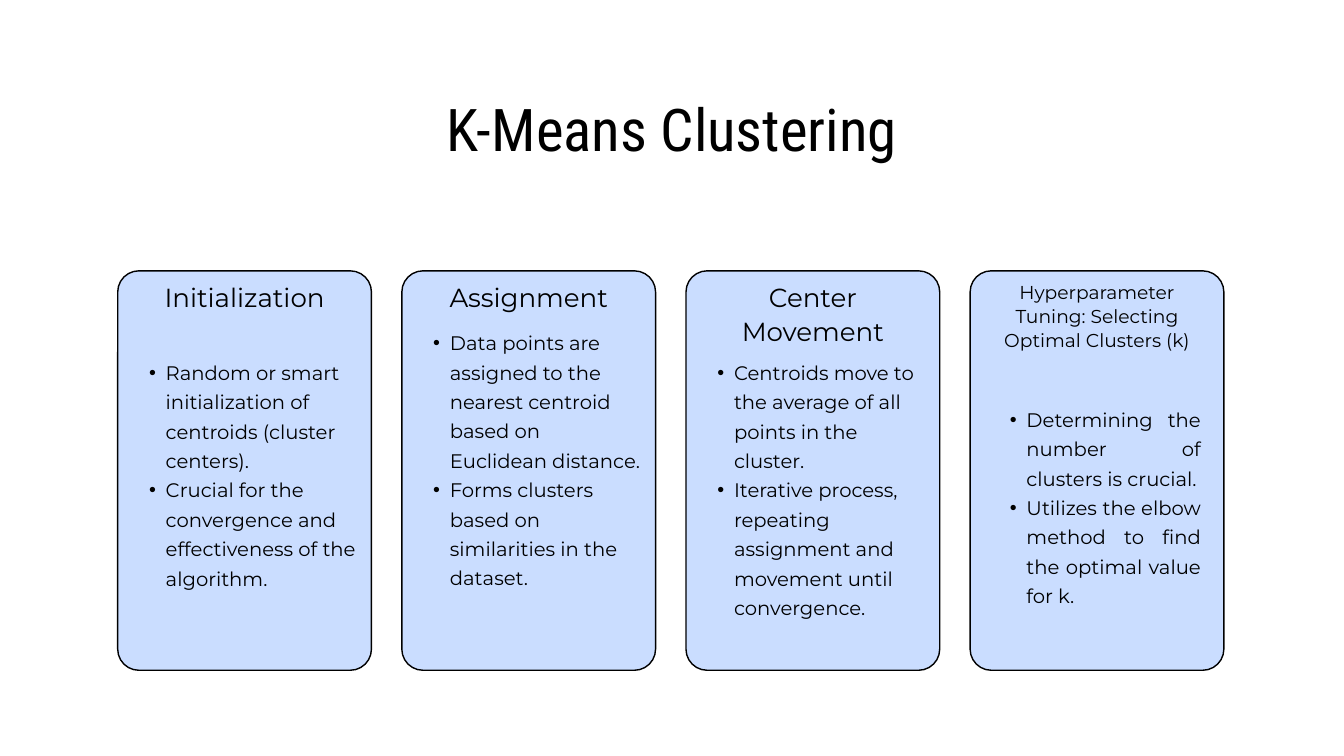
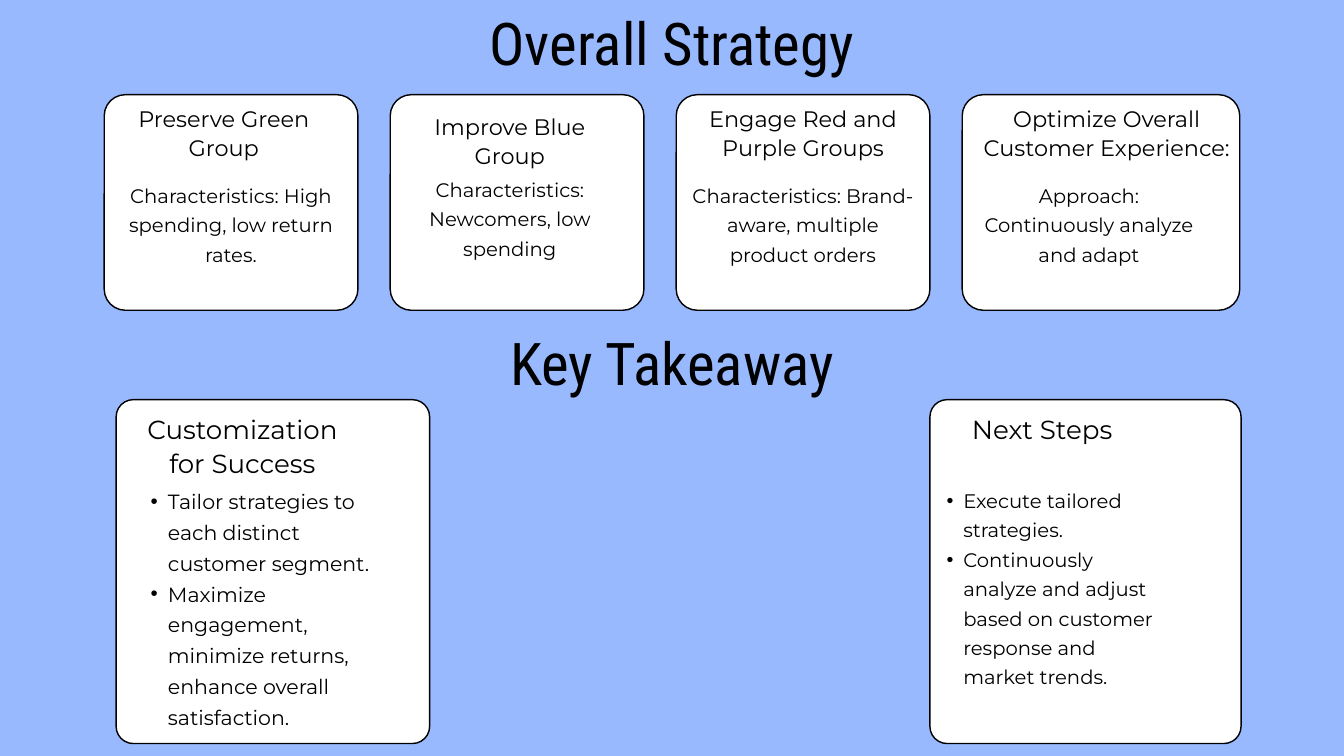
import pptx
import pptx.dml.color
import pptx.enum.shapes
import pptx.enum.text
import pptx.oxml
import pptx.oxml.ns
import pptx.util

Cm = pptx.util.Cm
Pt = pptx.util.Pt
ALIGN = pptx.enum.text.PP_ALIGN

INK, WHITE, PALE, BLUE = "000000", "FFFFFF", "CADDFF", "99B9FF"
HEAD, BODY = "Roboto Condensed", "Montserrat"
TITLE = 12.93, 24.94, 4.65


def color(fill, code):
    """Give a fill a solid colour."""
    fill.solid()
    fill.fore_color.rgb = pptx.dml.color.RGBColor.from_string(code)


def bullet(para, size):
    """Add a hanging bullet whose indent follows the text size."""
    props = para._p.get_or_add_pPr()
    indent = Cm(0.06 * size)
    props.set("marL", str(indent))
    props.set("indent", str(-indent // 2))
    for tag, key, value in (("buFont", "typeface", "Arial"), ("buChar", "char", "•")):
        item = pptx.oxml.parse_xml(f'<a:{tag} {pptx.oxml.ns.nsdecls("a")} {key}="{value}"/>')
        props.append(item)


def write(shape, lines, size, lead, face=BODY, align=ALIGN.CENTER, dots=False):
    """Fill a shape with equally styled paragraphs."""
    frame = shape.text_frame
    frame.word_wrap = True
    frame.auto_size = pptx.enum.text.MSO_AUTO_SIZE.NONE
    frame.vertical_anchor = pptx.enum.text.MSO_ANCHOR.TOP
    frame.margin_left = frame.margin_top = frame.margin_right = frame.margin_bottom = 0
    for i, line in enumerate(lines):
        para = frame.paragraphs[0] if i == 0 else frame.add_paragraph()
        para.text = line
        para.alignment = align
        para.line_spacing = Pt(lead)
        para.space_before = Pt(0)
        if dots:
            bullet(para, size)
        para.font.size = Pt(size)
        para.font.name = face
        para.font.bold = False
        color(para.font.fill, INK)


def text(slide, box, lines, size, ratio, **style):
    """Add a text box whose line pitch is a ratio of its size."""
    shape = slide.shapes.add_textbox(*map(Cm, box))
    write(shape, lines, size, round(size * ratio, 1), **style)


def title(shape, words, top):
    """Place and format a large heading."""
    left, width, height = TITLE
    shape.left, shape.top, shape.width, shape.height = map(Cm, (left, top, width, height))
    write(shape, [words], 63.1, 63.8, HEAD)


def page(deck, words, top, back):
    """Add a slide with a background and a title."""
    slide = deck.slides.add_slide(deck.slide_layouts[5])
    color(slide.background.fill, back)
    title(slide.shapes.title, words, top)
    return slide


def card(slide, box, fill, radius=0.8):
    """Draw an outlined card with round corners."""
    kind = pptx.enum.shapes.MSO_SHAPE.ROUNDED_RECTANGLE
    shape = slide.shapes.add_shape(kind, *map(Cm, box))
    shape.adjustments[0] = radius / min(box[2:])
    shape.shadow.inherit = False
    color(shape.fill, fill)
    color(shape.line.fill, INK)
    shape.line.width = Pt(1.5)


def step(slide, box, head, body, align):
    """Build a step card with its heading and bullets centred in it."""
    left, top, width, _ = box
    card(slide, box, PALE)
    words, size, wide, high = head
    text(slide, (left + (width - wide) / 2, top + 0.3, wide, high), [words], size, 1.3)
    lines, drop, wide, high = body
    spot = left + (width - wide) / 2, top + drop, wide, high
    text(slide, spot, lines, 21, 1.5, align=align, dots=True)


def group(slide, box, head, body):
    """Build a strategy card with a heading and a centred note."""
    left, top = box[:2]
    card(slide, box, WHITE)
    words, shift, drop, wide = head
    text(slide, (left + shift, top + drop, wide, 2.16), [words], 24, 1.3)
    words, shift, drop = body
    text(slide, (left + shift, top + drop, 8.48, 3.28), [words], 21, 1.5)


def lesson(slide, box, head, lines, size, shift, wide, high):
    """Build a takeaway card with a heading and bullets."""
    left, top = box[:2]
    card(slide, box, WHITE, 0.65)
    text(slide, (left + shift[0], top + 0.42, 8.48, 2.51), [head], 28, 1.3)
    spot = left + shift[1], top + 3.15, wide, high
    text(slide, spot, lines, size, 1.5, align=ALIGN.LEFT, dots=True)


def means(deck):
    """Build the clustering slide."""
    slide = page(deck, "K-Means Clustering", 3.94, WHITE)
    left, both = ALIGN.LEFT, ALIGN.JUSTIFY
    steps = [
        (("Initialization", 28, 7.39, 2.51),
         (["Random or smart initialization of centroids (cluster centers).",
           "Crucial for the convergence and effectiveness of the algorithm."],
          3.18, 8.48, 9.93), left),
        (("Assignment", 28, 7.39, 2.51),
         (["Data points are assigned to the nearest centroid based on Euclidean distance.",
           "Forms clusters based on similarities in the dataset."],
          2.06, 8.48, 12.17), left),
        (("Center Movement", 28, 8.48, 3.78),
         (["Centroids move to the average of all points in the cluster.",
           "Iterative process, repeating assignment and movement until convergence."],
          3.18, 8.48, 11.05), left),
        (("Hyperparameter Tuning: Selecting Optimal Clusters (k)", 20, 7.39, 3.58),
         (["Determining the number of clusters is crucial.",
           "Utilizes the elbow method to find the optimal value for k."],
          4.95, 7.85, 8.84), both),
    ]
    for i, (head, body, align) in enumerate(steps):
        step(slide, (4.45 + 10.74 * i, 10.24, 9.59, 15.1), head, body, align)


def plan(deck):
    """Build the strategy and takeaway slide."""
    slide = page(deck, "Overall Strategy", 0.67, BLUE)
    groups = [
        (9.59, ("Preserve Green Group", 0.28, 0.3, 8.48),
         ("Characteristics: High spending, low return rates.", 0.55, 3.15)),
        (9.59, ("Improve Blue Group", 0.28, 0.62, 8.48),
         ("Characteristics: Newcomers, low spending", 0.28, 2.92)),
        (9.59, ("Engage Red and Purple Groups", 0.55, 0.3, 8.48),
         ("Characteristics: Brand-aware, multiple product orders", 0.55, 3.15)),
        (10.49, ("Optimize Overall Customer Experience:", 0.71, 0.3, 9.5),
         ("Approach: Continuously analyze and adapt", 0.55, 3.15)),
    ]
    for i, (width, head, body) in enumerate(groups):
        group(slide, (3.94 + 10.81 * i, 3.58, width, 8.15), head, body)
    lesson(slide, (4.39, 15.11, 11.85, 13), "Customization for Success",
           ["Tailor strategies to each distinct customer segment.",
            "Maximize engagement, minimize returns, enhance overall satisfaction."],
           22, (0.53, 0.64), 8.94, 10.16)
    lesson(slide, (35.15, 15.11, 11.76, 13), "Next Steps",
           ["Execute tailored strategies.",
            "Continuously analyze and adjust based on customer response and market trends."],
           21, (0, 0), 8.48, 8.84)
    title(slide.shapes.add_textbox(0, 0, 0, 0), "Key Takeaway", 12.78)


def main():
    """Build and save the deck."""
    deck = pptx.Presentation()
    deck.slide_width, deck.slide_height = Cm(50.8), Cm(28.58)
    means(deck)
    plan(deck)
    deck.save("out.pptx")


if __name__ == "__main__":
    main()
